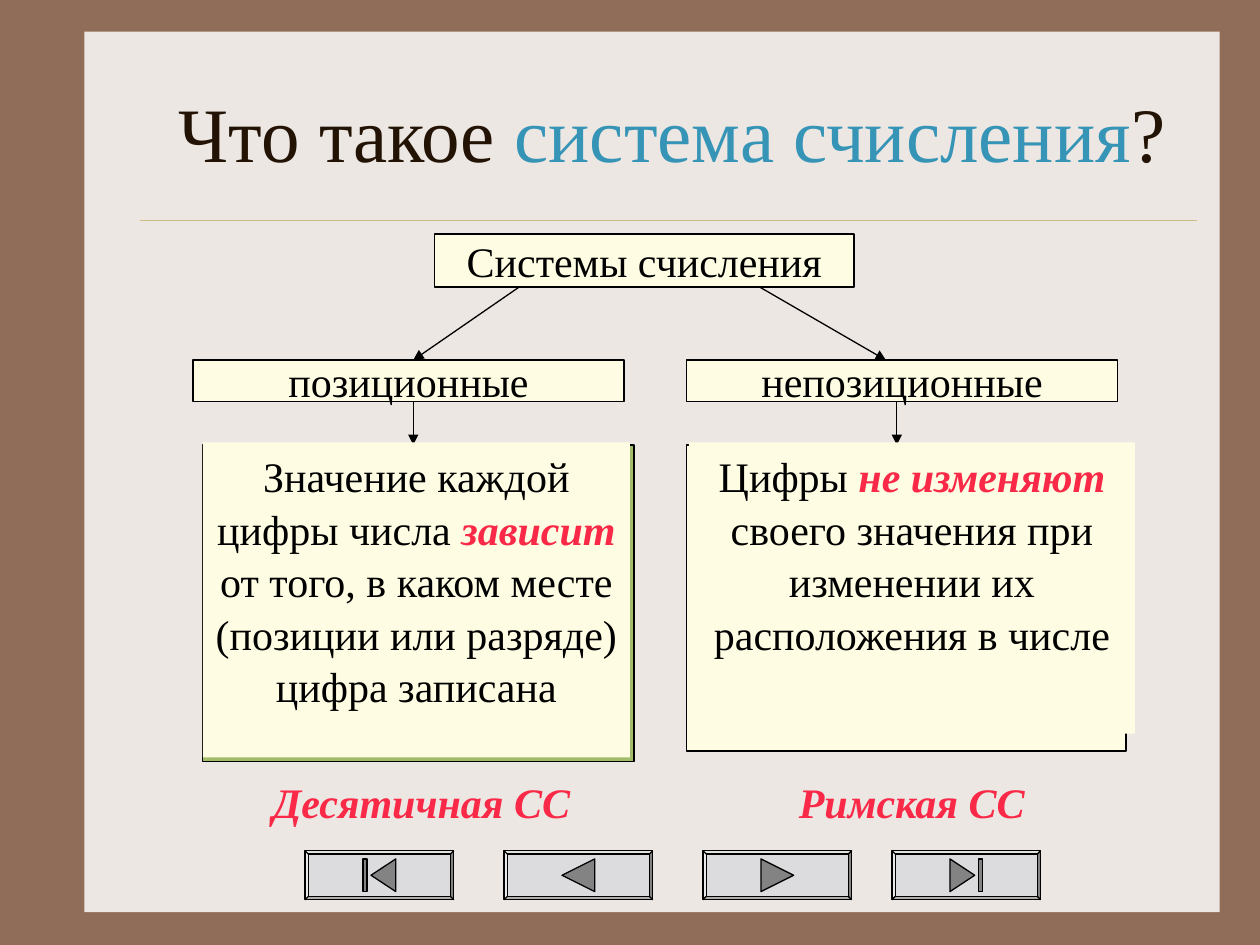
from dataclasses import dataclass

from lxml import etree
from pptx import Presentation
from pptx.dml.color import RGBColor
from pptx.enum.shapes import MSO_CONNECTOR, MSO_SHAPE
from pptx.enum.text import MSO_ANCHOR, PP_ALIGN
from pptx.oxml.ns import qn
from pptx.util import Cm, Pt

RECT, BEVEL = MSO_SHAPE.RECTANGLE, MSO_SHAPE.BEVEL
STRAIGHT = MSO_CONNECTOR.STRAIGHT
TOP, MIDDLE = MSO_ANCHOR.TOP, MSO_ANCHOR.MIDDLE
CENTER = PP_ALIGN.CENTER
TITLE_ONLY = 5


@dataclass(frozen=True)
class Theme:
    font: str = "Times New Roman"
    title_size: int = 44
    body_size: int = 24
    line_width: float = 0.75
    rule_width: float = 0.25
    border: str = "906D58"
    page: str = "EDE7E3"
    rule: str = "CBBD83"
    title: str = "221304"
    term: str = "3694B6"
    ink: str = "000000"
    accent: str = "F92947"
    card: str = "FEFDE3"
    green: str = "A1BD69"
    button: str = "DCDBDD"
    icon: str = "838383"


THEME = Theme()


def rgb(value):
    return RGBColor.from_string(value)


def write(frame, runs, size=THEME.body_size, anchor=TOP, wrap=True, spacing=None):
    frame.word_wrap = wrap
    frame.vertical_anchor = anchor
    frame.margin_left = frame.margin_right = Cm(0.25)
    frame.margin_top = frame.margin_bottom = Cm(0.13)
    paragraph = frame.paragraphs[0]
    paragraph.alignment = CENTER
    paragraph.line_spacing = spacing
    for text, color, strong in runs:
        run = paragraph.add_run()
        run.text = text
        run.font.name = THEME.font
        run.font.size = Pt(size)
        run.font.bold = run.font.italic = strong
        run.font.color.rgb = rgb(color)


def plain(text):
    return text, THEME.ink, False


def strong(text):
    return text, THEME.accent, True


def paint(shape, fill, line=None):
    shape.shadow.inherit = False
    shape.fill.solid()
    shape.fill.fore_color.rgb = rgb(fill)
    if line:
        shape.line.color.rgb = rgb(line)
        shape.line.width = Pt(THEME.line_width)
    else:
        shape.line.fill.background()
    return shape


def add_block(slide, box, fill, line=None, kind=RECT):
    shape = slide.shapes.add_shape(kind, *map(Cm, box))
    return paint(shape, fill, line)


def add_line(slide, start, end, color=THEME.ink, width=THEME.line_width, arrow=True):
    line = slide.shapes.add_connector(STRAIGHT, *map(Cm, start + end))
    line.line.color.rgb = rgb(color)
    line.line.width = Pt(width)
    if arrow:
        etree.SubElement(line.line._get_or_add_ln(), qn("a:tailEnd"), type="triangle")
    etree.SubElement(line._element.spPr, qn("a:effectLst"))


def add_page(slide, box):
    left, top, width, height = box
    slide.background.fill.solid()
    slide.background.fill.fore_color.rgb = rgb(THEME.border)
    add_block(slide, box, THEME.page)
    rule_y = top + 3.8
    add_line(slide, (left + 1.12, rule_y), (left + width - 0.46, rule_y),
             THEME.rule, THEME.rule_width, arrow=False)


def add_title(slide, box):
    title = slide.shapes.title
    title.left, title.top, title.width, title.height = map(Cm, box)
    slide.shapes._spTree.append(title._element)
    write(title.text_frame, [("Что такое ", THEME.title, False),
                             ("система счисления", THEME.term, False),
                             ("?", THEME.title, False)],
          size=THEME.title_size, anchor=MIDDLE)


def add_heading(slide, box, text):
    heading = add_block(slide, box, THEME.card, THEME.ink)
    write(heading.text_frame, [plain(text)], anchor=MIDDLE, wrap=False)


def add_branch(slide, box, heading, definition, example, frame, card, frame_fill, stem):
    left, top, width, _ = box
    frame_top = top + 1.71
    add_heading(slide, (left, top, width, 0.84), heading)
    add_block(slide, (left + frame[0], frame_top, *frame[1:]), frame_fill, THEME.ink)
    add_line(slide, (left + stem, top + 0.84), (left + stem, frame_top))
    body = add_block(slide, (left + card[0], frame_top - 0.05, *card[1:]), THEME.card)
    write(body.text_frame, definition, spacing=1.04)
    caption = slide.shapes.add_textbox(
        *map(Cm, (left + card[0], top + 8.26, frame[1] + 0.12, 1.27)))
    write(caption.text_frame, [strong(example)])


def add_button(slide, box, direction, bar):
    left, top, width, height = box
    button = add_block(slide, box, THEME.button, THEME.ink, BEVEL)
    button.adjustments[0] = 0.07
    center, middle = left + width / 2, top + height / 2
    half = 0.33
    tip = center + direction * (0.17 if bar else half)
    base = center - direction * half
    if bar:
        bar_left = center + direction * 0.29 - 0.04
        add_block(slide, (bar_left, middle - half, 0.08, 2 * half), THEME.icon, THEME.ink)
    outline = slide.shapes.build_freeform(Cm(tip), Cm(middle))
    outline.add_line_segments([(Cm(base), Cm(middle - half)),
                               (Cm(base), Cm(middle + half))])
    paint(outline.convert_to_shape(), THEME.icon, THEME.ink)


def add_navigation(slide, box):
    left, top, width, height = box
    buttons = [(0, -1, True), (4.01, -1, False), (8.02, 1, False), (11.83, 1, True)]
    for offset, direction, bar in buttons:
        add_button(slide, (left + offset, top, width, height), direction, bar)


def main():
    deck = Presentation()
    deck.slide_width, deck.slide_height = Cm(25.4), Cm(19.05)
    slide = deck.slides.add_slide(deck.slide_layouts[TITLE_ONLY])
    add_page(slide, (1.7, 0.64, 22.89, 17.75))
    add_title(slide, (2.97, 1.07, 21.16, 3.18))
    add_navigation(slide, (6.15, 17.15, 3, 0.99))
    add_heading(slide, (8.76, 4.72, 8.46, 1.07), "Системы счисления")
    add_line(slide, (10.46, 5.79), (8.33, 7.26))
    add_line(slide, (15.32, 5.79), (17.86, 7.26))
    add_branch(slide, (3.89, 7.26, 8.69, 9.53), "позиционные",
               [plain("Значение каждой цифры числа "), strong("зависит "),
                plain("от того, в каком месте (позиции или разряде) цифра записана")],
               "Десятичная СС", frame=(0.2, 8.69, 6.38), card=(0.2, 8.61, 6.35),
               frame_fill=THEME.green, stem=4.44)
    add_branch(slide, (13.84, 7.26, 8.69, 9.53), "непозиционные",
               [plain("Цифры "), strong("не изменяют"),
                plain(" своего значения при изменении их расположения в числе")],
               "Римская СС", frame=(0, 8.86, 6.17), card=(0.05, 8.99, 5.87),
               frame_fill=THEME.card, stem=4.24)
    deck.save("out.pptx")


if __name__ == "__main__":
    main()
